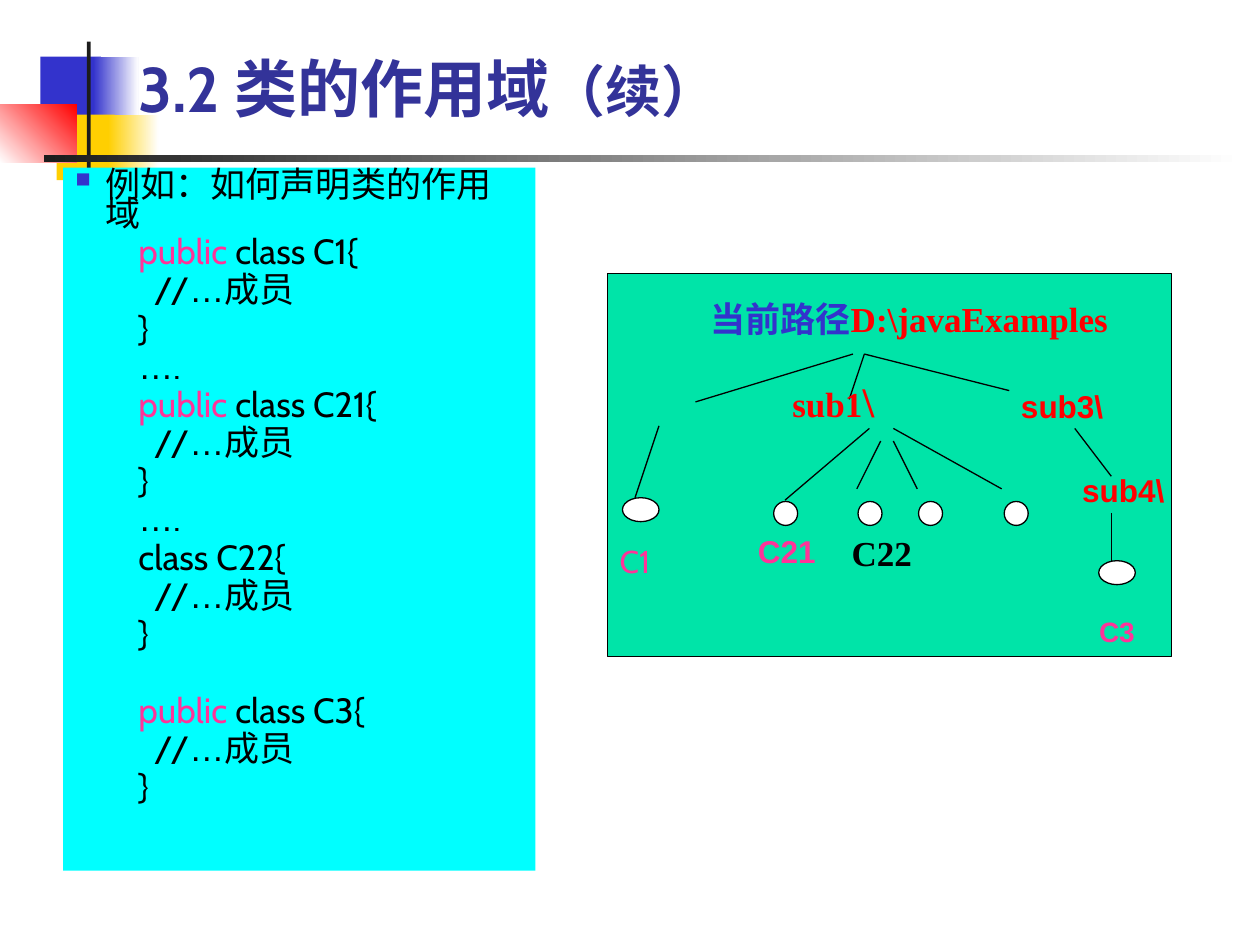
from pptx import Presentation
from pptx.dml.color import RGBColor
from pptx.enum.shapes import MSO_CONNECTOR, MSO_SHAPE
from pptx.enum.text import MSO_ANCHOR, PP_ALIGN
from pptx.oxml.ns import qn
from pptx.util import Inches, Pt
from lxml import etree

RECT, OVAL = MSO_SHAPE.RECTANGLE, MSO_SHAPE.OVAL
LINE = MSO_CONNECTOR.STRAIGHT
MIDDLE, TOP = MSO_ANCHOR.MIDDLE, MSO_ANCHOR.TOP
LEFT, CENTER = PP_ALIGN.LEFT, PP_ALIGN.CENTER

BLACK = RGBColor(0x00, 0x00, 0x00)
WHITE = RGBColor(0xFF, 0xFF, 0xFF)
DARK = RGBColor(0x1C, 0x1C, 0x1C)
BLUE = RGBColor(0x33, 0x33, 0xCC)
NAVY = RGBColor(0x33, 0x33, 0x99)
GOLD = RGBColor(0xFF, 0xCF, 0x01)
RED = RGBColor(0xFF, 0x00, 0x00)
PINK = RGBColor(0xFF, 0x33, 0x99)
CYAN = RGBColor(0x00, 0xFF, 0xFF)
GREEN = RGBColor(0x00, 0xE4, 0xA8)

CABIN, ARIAL, TIMES = "Cabin", "Arial", "Times New Roman"


def add_shape(slide, kind, x, y, w, h, fill, edge=None, angle=0):
    shape = slide.shapes.add_shape(kind, Inches(x), Inches(y), Inches(w), Inches(h))
    shape.shadow.inherit = False
    if isinstance(fill, RGBColor):
        shape.fill.solid()
        shape.fill.fore_color.rgb = fill
    else:
        shape.fill.gradient()
        shape.fill.gradient_angle = angle
        for place, (stop, color) in enumerate(zip(shape.fill.gradient_stops, fill)):
            stop.color.rgb = color
            stop.position = place
    if edge is None:
        shape.line.fill.background()
    else:
        shape.line.color.rgb = edge
        shape.line.width = Pt(0.75)
    return shape


def add_line(slide, x1, y1, x2, y2):
    line = slide.shapes.add_connector(LINE, Inches(x1), Inches(y1), Inches(x2), Inches(y2))
    line.line.color.rgb = BLACK
    line.line.width = Pt(0.75)
    etree.SubElement(line._element.spPr, qn("a:effectLst"))


def add_run(para, text, size, color, font=CABIN, bold=False):
    run = para.add_run()
    run.text = text
    run.font.size = Pt(size)
    run.font.name = font
    run.font.bold = bold
    run.font.color.rgb = color


def add_text(slide, x, y, w, h, runs, align=LEFT, wrap=True, anchor=TOP):
    box = slide.shapes.add_textbox(Inches(x), Inches(y), Inches(w), Inches(h))
    frame = box.text_frame
    frame.word_wrap = wrap
    frame.vertical_anchor = anchor
    para = frame.paragraphs[0]
    para.alignment = align
    for run in runs:
        add_run(para, *run)


def add_marks(slide, x, y):
    parts = [
        (0.32, 0.12, 0.48, 0.52, BLUE, 0),
        (0.74, 0.12, 0.36, 0.52, [BLUE, WHITE], 0),
        (0.45, 0.58, 0.46, 0.52, GOLD, 0),
        (0.86, 0.58, 0.40, 0.52, [GOLD, WHITE], 0),
        (0, 0.50, 0.61, 0.46, [WHITE, RED], 45),
        (0.69, 0, 0.03, 1.15, DARK, 0),
        (0.35, 0.90, 9.51, 0.06, [DARK, WHITE], 0),
    ]
    for dx, dy, w, h, fill, angle in parts:
        add_shape(slide, RECT, x + dx, y + dy, w, h, fill, angle=angle)


def add_title(slide, x, y, w, h):
    runs = [("3.2 类的作用域", 36, NAVY, CABIN, True), ("（续）", 32, NAVY, CABIN, True)]
    add_text(slide, x, y, w, h, runs, anchor=MIDDLE)


def set_para(para, margin, indent, before):
    props = para._p.get_or_add_pPr()
    props.set("marL", str(Inches(margin)))
    props.set("indent", str(Inches(indent)))
    para.alignment = LEFT
    para.line_spacing = 0.7
    para.space_before = Pt(before)
    return props


def add_code(slide, x, y, w, h):
    frame = add_shape(slide, RECT, x, y, w, h, CYAN).text_frame
    frame.word_wrap = True
    frame.vertical_anchor = TOP
    head = frame.paragraphs[0]
    props = set_para(head, 0.24, -0.24, 0)
    color = etree.SubElement(props, qn("a:buClr"))
    etree.SubElement(color, qn("a:srgbClr"), val=str(BLUE))
    etree.SubElement(props, qn("a:buSzPct"), val="60000")
    etree.SubElement(props, qn("a:buChar"), char="■")
    add_run(head, "例如：如何声明类的作用域", 20, BLACK)

    body = [("  //", BLACK), ("…", BLACK, ARIAL), ("成员", BLACK)]
    close = [("}", BLACK)]
    dots = [("…", BLACK, ARIAL), (".", BLACK)]
    blocks = [
        ("public", "C1", 5, True),
        ("public", "C21", 5, True),
        ("", "C22", 5, False),
        ("public", "C3", 27, False),
    ]
    for access, name, before, more in blocks:
        if access:
            first = [(access, PINK), (f" class {name}{{", BLACK)]
        else:
            first = [(f"class {name}{{", BLACK)]
        rows = [first, body, close] + ([dots] if more else [])
        for i, row in enumerate(rows):
            para = frame.add_paragraph()
            set_para(para, 0.2, 0.3, 5 if i else before)
            for text, color, *font in row:
                add_run(para, text, 20, color, *font)


def add_tree(slide, x, y, w, h):
    add_shape(slide, RECT, x, y, w, h, GREEN, BLACK)
    lines = [
        (1.95, 0.64, 0.70, 1.02), (2.04, 0.64, 1.92, 1.00), (2.04, 0.64, 3.19, 0.93),
        (0.41, 1.21, 0.22, 1.78), (2.27, 1.33, 2.46, 1.71), (2.17, 1.33, 1.98, 1.71),
        (2.08, 1.23, 1.41, 1.80), (2.27, 1.23, 3.13, 1.71), (3.71, 1.23, 4.00, 1.61),
        (4.00, 1.90, 4.00, 2.28),
    ]
    for x1, y1, x2, y2 in lines:
        add_line(slide, x + x1, y + y1, x + x2, y + y2)
    nodes = [(dx, 1.81, 0.19) for dx in (1.32, 1.99, 2.47, 3.15)]
    nodes += [(0.12, 1.78, 0.29), (3.90, 2.28, 0.29)]
    for dx, dy, width in nodes:
        add_shape(slide, OVAL, x + dx, y + dy, width, 0.19, WHITE, BLACK)
    path = [("当前路径", 20, BLUE, TIMES, True), ("D:\\javaExamples", 20, RED, TIMES, True)]
    sub = [("sub1", 20, RED, TIMES, True), ("\\", 24, RED, TIMES, True)]
    labels = [
        (1.37, 0.76, 0.85, 0.50, sub, LEFT, False),
        (0.72, 0.14, 3.42, 0.44, path, LEFT, False),
        (1.84, 2.00, 0.68, 0.44, [("C22", 20, BLACK, TIMES, True)], LEFT, False),
        (1.09, 2.00, 0.67, 0.40, [("C21", 18, PINK, ARIAL, True)], CENTER, True),
        (3.13, 0.85, 0.96, 0.40, [("sub3\\", 18, RED, ARIAL, True)], CENTER, True),
        (3.52, 1.52, 1.15, 0.40, [("sub4\\", 18, RED, ARIAL, True)], CENTER, True),
        (3.71, 2.66, 0.67, 0.37, [("C3", 16, PINK, ARIAL, True)], CENTER, True),
        (0, 2.08, 0.50, 0.40, [("C1", 18, PINK)], LEFT, True),
    ]
    for dx, dy, width, height, runs, align, wrap in labels:
        add_text(slide, x + dx, y + dy, width, height, runs, align, wrap)


def main():
    deck = Presentation()
    deck.slide_width, deck.slide_height = Inches(10), Inches(7.5)
    slide = deck.slides.add_slide(deck.slide_layouts[6])
    add_marks(slide, 0, 0.33)
    add_code(slide, 0.5, 1.33, 3.75, 5.58)
    add_title(slide, 1, 0.28, 8.52, 0.83)
    add_tree(slide, 4.82, 2.17, 4.48, 3.04)
    deck.save("out.pptx")


if __name__ == "__main__":
    main()
